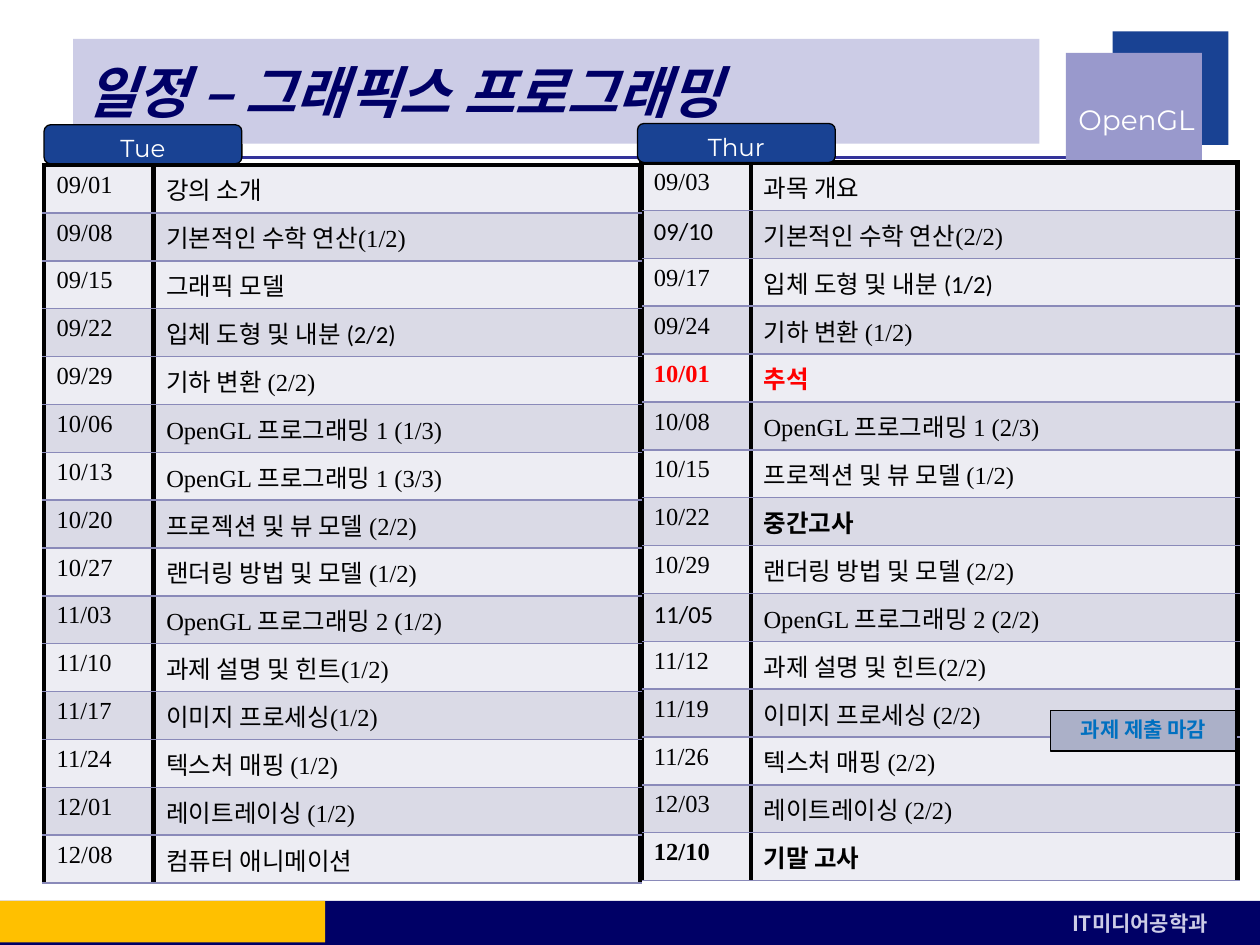
from pptx import Presentation
from pptx.dml.color import RGBColor
from pptx.enum.shapes import MSO_CONNECTOR, MSO_SHAPE as Shape
from pptx.enum.text import MSO_ANCHOR as Anchor, PP_ALIGN as Align
from pptx.oxml import parse_xml
from pptx.oxml.ns import nsdecls
from pptx.util import Inches, Pt

KOREAN = "Noto Sans CJK KR"
rgb = RGBColor.from_string


def write(frame, text, size, font, color, bold=False, italic=False, align=Align.LEFT):
    frame.text = text
    paragraph = frame.paragraphs[0]
    paragraph.alignment = align
    run = paragraph.runs[0]
    run.font.size = Pt(size)
    run.font.name = font
    run.font.bold = bold
    run.font.italic = italic
    run.font.color.rgb = rgb(color)
    latin = run.font._element.find("{*}latin")
    latin.addnext(parse_xml(f'<a:ea {nsdecls("a")} typeface="{KOREAN}"/>'))


def block(kind, left, top, width, height, fill, line=None):
    shape = slide.shapes.add_shape(
        kind, Inches(left), Inches(top), Inches(width), Inches(height))
    shape.shadow.inherit = False
    shape.fill.solid()
    shape.fill.fore_color.rgb = rgb(fill)
    if line:
        shape.line.color.rgb = rgb(line)
        shape.line.width = Pt(0.75)
    else:
        shape.line.fill.background()
    return shape


prs = Presentation()
prs.slide_width, prs.slide_height = Inches(10), Inches(7.5)
slide = prs.slides.add_slide(prs.slide_layouts[6])

# Header rule
rule = slide.shapes.add_connector(
    MSO_CONNECTOR.STRAIGHT, Inches(0.58), Inches(1.25), Inches(8.5), Inches(1.25))
rule.line.color.rgb = rgb("333399")
rule.line.width = Pt(2.25)
rule._element.spPr.append(parse_xml(f'<a:effectLst {nsdecls("a")}/>'))

# Corner squares with the course name
block(Shape.RECTANGLE, 8.83, 0.25, 0.92, 0.9, "194293")
block(Shape.RECTANGLE, 8.46, 0.42, 1.08, 1, "9999CC")
course = slide.shapes.add_textbox(
    Inches(8.46), Inches(0.61), Inches(1.12), Inches(0.67)).text_frame
course.word_wrap = False
course.vertical_anchor = Anchor.MIDDLE
write(course, "OpenGL", 16, "Montserrat", "FFFFFF", align=Align.RIGHT)

# Footer band
block(Shape.RECTANGLE, 0, 7.15, 10, 0.35, "000066")
department = block(Shape.RECTANGLE, 8.41, 7.18, 1.58, 0.3, "000066").text_frame
write(department, "IT미디어공학과", 12, KOREAN, "CCCCE6", bold=True)
block(Shape.RECTANGLE, 0, 7.15, 2.58, 0.33, "FFC000")

# Title
title = block(Shape.RECTANGLE, 0.58, 0.31, 7.67, 0.83, "CCCCE6").text_frame
title.vertical_anchor = Anchor.MIDDLE
write(title, "일정 – 그래픽스 프로그래밍", 32, KOREAN, "000066", bold=True, italic=True)

# Weekly schedules
thursday = [
    ("09/03", "과목 개요"),
    ("09/10", "기본적인 수학 연산(2/2)"),
    ("09/17", "입체 도형 및 내분 (1/2)"),
    ("09/24", "기하 변환 (1/2)"),
    ("10/01", "추석"),
    ("10/08", "OpenGL 프로그래밍 1 (2/3)"),
    ("10/15", "프로젝션 및 뷰 모델 (1/2)"),
    ("10/22", "중간고사"),
    ("10/29", "랜더링 방법 및 모델 (2/2)"),
    ("11/05", "OpenGL 프로그래밍 2 (2/2)"),
    ("11/12", "과제 설명 및 힌트(2/2)"),
    ("11/19", "이미지 프로세싱 (2/2)"),
    ("11/26", "텍스처 매핑 (2/2)"),
    ("12/03", "레이트레이싱 (2/2)"),
    ("12/10", "기말 고사"),
]
tuesday = [
    ("09/01", "강의 소개"),
    ("09/08", "기본적인 수학 연산(1/2)"),
    ("09/15", "그래픽 모델"),
    ("09/22", "입체 도형 및 내분 (2/2)"),
    ("09/29", "기하 변환 (2/2)"),
    ("10/06", "OpenGL 프로그래밍 1 (1/3)"),
    ("10/13", "OpenGL 프로그래밍 1 (3/3)"),
    ("10/20", "프로젝션 및 뷰 모델 (2/2)"),
    ("10/27", "랜더링 방법 및 모델 (1/2)"),
    ("11/03", "OpenGL 프로그래밍 2 (1/2)"),
    ("11/10", "과제 설명 및 힌트(1/2)"),
    ("11/17", "이미지 프로세싱(1/2)"),
    ("11/24", "텍스처 매핑 (1/2)"),
    ("12/01", "레이트레이싱 (1/2)"),
    ("12/08", "컴퓨터 애니메이션"),
]
holiday = {"10/01", "추석"}
emphasized = holiday | {"중간고사", "12/10", "기말 고사"}
in_calibri = {"09/10", "11/05", "입체 도형 및 내분 (1/2)", "입체 도형 및 내분 (2/2)"}
row_height = 0.38

for left, top, lessons in ((5.09, 1.29, thursday), (0.35, 1.31, tuesday)):
    schedule = slide.shapes.add_table(
        len(lessons), 2, Inches(left), Inches(top),
        Inches(4.73), Inches(row_height * len(lessons))).table
    schedule.columns[0].width = Inches(0.87)
    schedule.columns[1].width = Inches(3.86)
    for week, lesson in enumerate(lessons):
        schedule.rows[week].height = Inches(row_height)
        for column, text in enumerate(lesson):
            cell = schedule.cell(week, column)
            write(cell.text_frame, text, 14,
                  "Calibri" if text in in_calibri else "Times New Roman",
                  "FF0000" if text in holiday else "000000",
                  bold=text in emphasized)
            cell.fill.solid()
            cell.fill.fore_color.rgb = rgb("DADAE6" if week % 2 else "EDEDF3")
            # Heavy black sides and top edge, thin lilac lines between weeks
            heavy, thin = (3, "000000"), (1, "8A8AB9")
            edges = {"L": heavy, "R": heavy, "T": thin if week else heavy, "B": thin}
            for order, (side, (points, color)) in enumerate(edges.items()):
                cell._tc.tcPr.insert(order, parse_xml(
                    f'<a:ln{side} {nsdecls("a")} w="{Pt(points)}"><a:solidFill>'
                    f'<a:srgbClr val="{color}"/></a:solidFill></a:ln{side}>'))

# Deadline label
deadline = block(Shape.RECTANGLE, 8.34, 5.64, 1.47, 0.32, "ABB0C8", "000000").text_frame
deadline.vertical_anchor = Anchor.TOP
write(deadline, "과제 제출 마감", 12, KOREAN, "0070C0", bold=True, align=Align.CENTER)

# Day tabs
for day, left, top in (("Tue", 0.35, 0.99), ("Thur", 5.06, 0.98)):
    tab = block(Shape.ROUNDED_RECTANGLE, left, top, 1.57, 0.31, "194293", "000000").text_frame
    tab.vertical_anchor = Anchor.TOP
    write(tab, day, 14, "Montserrat", "FFFFFF", align=Align.CENTER)

prs.save("out.pptx")
